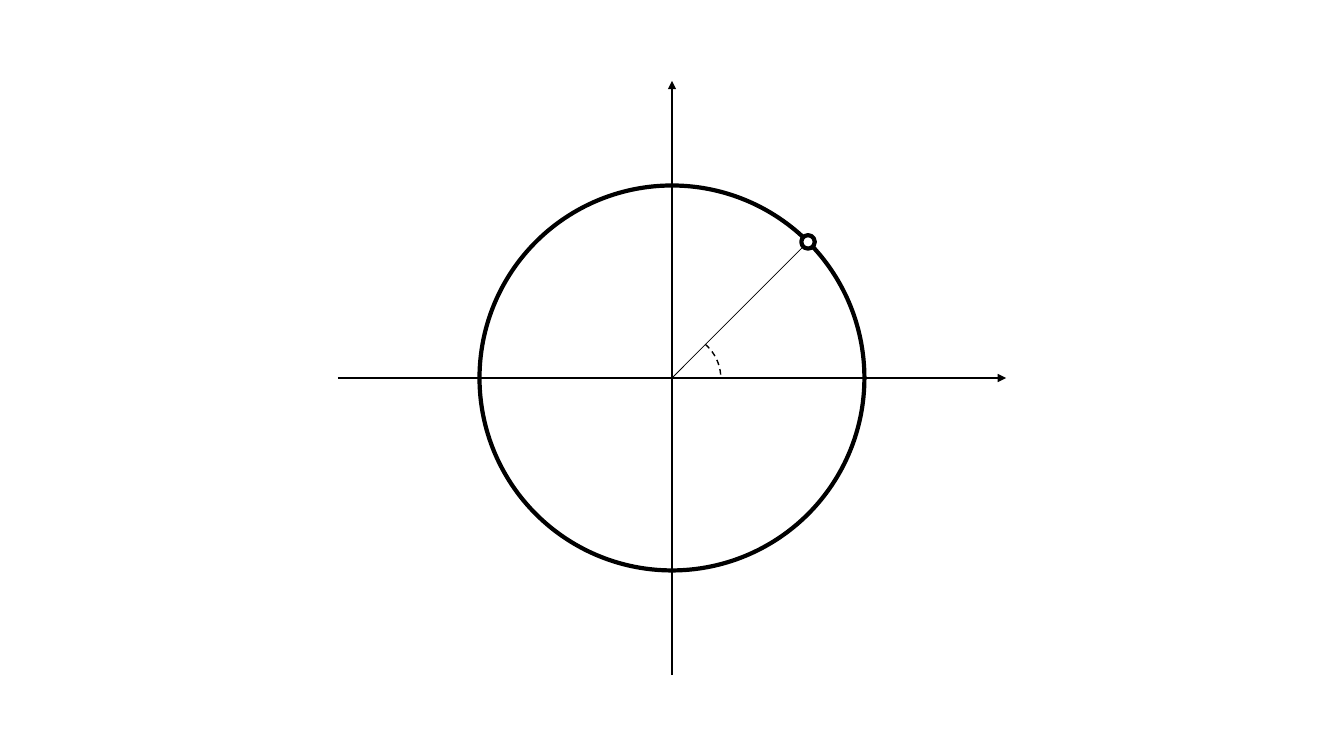
"""Draw a circle on two axes with a radius and its marked angle."""
import math

import pptx
import pptx.util
import pptx.dml.color
import pptx.enum.dml
import pptx.enum.shapes
import pptx.oxml
import pptx.oxml.ns

Cm = pptx.util.Cm
Shape = pptx.enum.shapes.MSO_SHAPE
BLACK = pptx.dml.color.RGBColor(0, 0, 0)
WHITE = pptx.dml.color.RGBColor(255, 255, 255)
WIDE, HIGH = 33.87, 19.05
MID_X, MID_Y = WIDE / 2, HIGH / 2
RADIUS, DOT = 4.85, 0.17
ANGLE = math.radians(45)


class Sketch:
    def __init__(self, slide, ink):
        self.slide = slide
        self.ink = ink

    def stroke(self, line, style):
        line.color.rgb = self.ink
        for name, value in style.items():
            setattr(line, name, value)

    def line(self, start, end, arrow=False, **style):
        ends = [Cm(value) for value in (*start, *end)]
        link = self.slide.shapes.add_connector(
            pptx.enum.shapes.MSO_CONNECTOR.STRAIGHT, *ends)
        self.stroke(link.line, style)
        props = link._element.spPr
        if arrow:
            tip = pptx.oxml.parse_xml(
                f'<a:tailEnd {pptx.oxml.ns.nsdecls("a")} type="triangle"/>')
            props.find(pptx.oxml.ns.qn("a:ln")).append(tip)
        props.append(pptx.oxml.parse_xml(
            f'<a:effectLst {pptx.oxml.ns.nsdecls("a")}/>'))

    def round(self, kind, x, y, rx, ry, fill=None, **style):
        box = [Cm(value) for value in (x - rx, y - ry, 2 * rx, 2 * ry)]
        shape = self.slide.shapes.add_shape(kind, *box)
        shape.shadow.inherit = False
        if fill is None:
            shape.fill.background()
        else:
            shape.fill.solid()
            shape.fill.fore_color.rgb = fill
        self.stroke(shape.line, style)
        return shape


def polar(dist):
    return MID_X + dist * math.cos(ANGLE), MID_Y - dist * math.sin(ANGLE)


def main():
    deck = pptx.Presentation()
    deck.slide_width, deck.slide_height = Cm(WIDE), Cm(HIGH)
    sketch = Sketch(deck.slides.add_slide(deck.slide_layouts[6]), BLACK)
    thin, axis, bold = (pptx.util.Pt(size) for size in (0.5, 1.5, 3))

    for dx, dy in ((8.42, 0), (0, -7.49)):
        sketch.line((MID_X - dx, MID_Y - dy), (MID_X + dx, MID_Y + dy),
                    arrow=True, width=axis)
    sketch.round(Shape.OVAL, MID_X, MID_Y, RADIUS, RADIUS, width=bold)
    sketch.round(Shape.OVAL, *polar(RADIUS), DOT, DOT, fill=WHITE, width=bold)
    sketch.line((MID_X, MID_Y), polar(RADIUS - DOT), width=thin)
    arc = sketch.round(Shape.ARC, MID_X, MID_Y, 1.23, 1.16,
                       width=pptx.util.Pt(1),
                       dash_style=pptx.enum.dml.MSO_LINE.DASH)
    arc.adjustments[0], arc.adjustments[1] = 188.89, 0.35
    deck.save("out.pptx")


if __name__ == "__main__":
    main()
